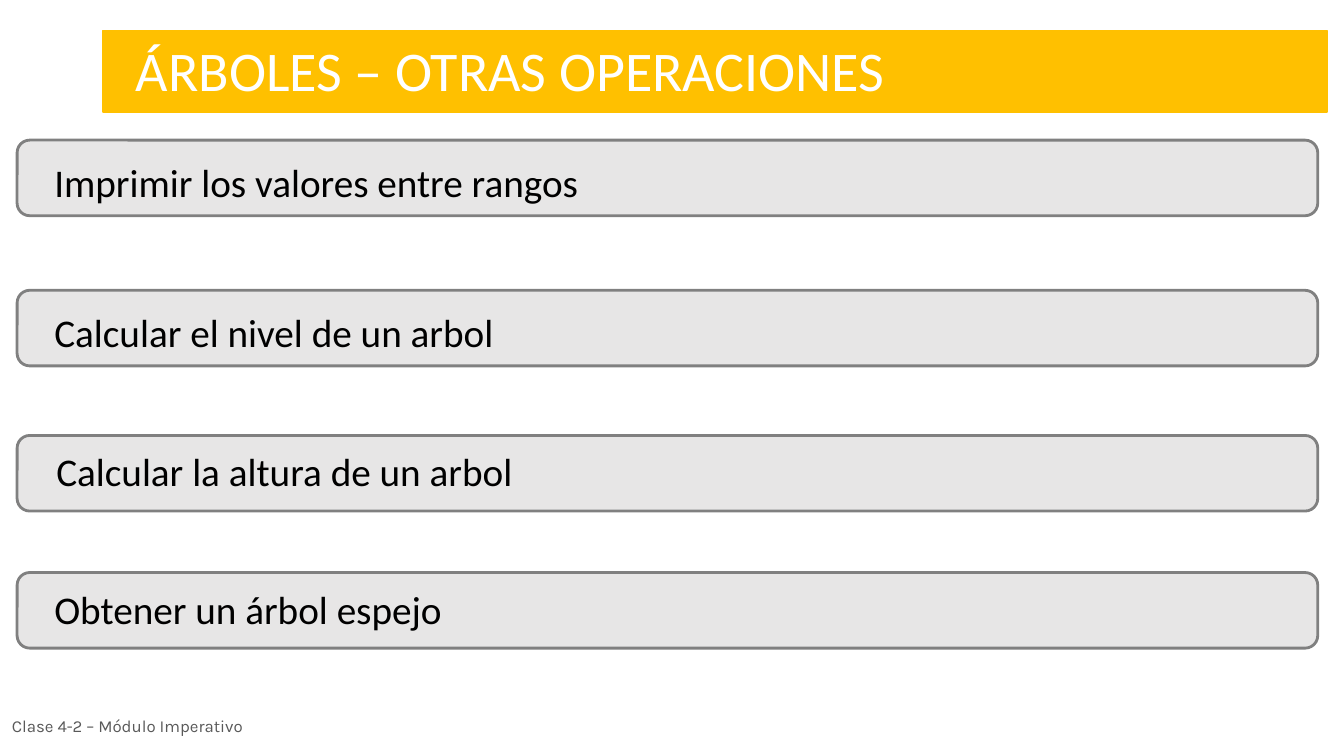
import pptx
import pptx.util
import pptx.dml.color
import pptx.enum.shapes
import pptx.enum.text

Inches = pptx.util.Inches
RGBColor = pptx.dml.color.RGBColor
Shapes = pptx.enum.shapes.MSO_SHAPE
Anchor = pptx.enum.text.MSO_ANCHOR
AutoSize = pptx.enum.text.MSO_AUTO_SIZE

AMBER = RGBColor(0xFF, 0xC0, 0x00)
LIGHT_GRAY = RGBColor(0xE7, 0xE6, 0xE6)
MID_GRAY = RGBColor(0x80, 0x80, 0x80)
DARK_GRAY = RGBColor(0x59, 0x59, 0x59)
WHITE = RGBColor(0xFF, 0xFF, 0xFF)
BLACK = RGBColor(0x00, 0x00, 0x00)

# Bar top, text left, text top, text width, text
OPERATIONS = [
    (1.39, 0.44, 1.52, 5.57, "Imprimir los valores entre rangos"),
    (2.88, 0.44, 3.01, 4.61, "Calcular el nivel de un arbol"),
    (4.32, 0.46, 4.39, 4.78, "Calcular la altura de un arbol"),
    (5.68, 0.44, 5.76, 4.09, "Obtener un árbol espejo"),
]


def add_box(slide, kind, left, top, width, height, fill, line, line_width):
    shape = slide.shapes.add_shape(
        kind, Inches(left), Inches(top), Inches(width), Inches(height))
    shape.shadow.inherit = False
    shape.fill.solid()
    shape.fill.fore_color.rgb = fill
    shape.line.color.rgb = line
    shape.line.width = pptx.util.Pt(line_width)


def add_text(slide, left, top, width, height, text, size, color,
             font="Calibri", wrap=True, anchor=Anchor.TOP,
             auto_size=AutoSize.SHAPE_TO_FIT_TEXT):
    shape = slide.shapes.add_textbox(
        Inches(left), Inches(top), Inches(width), Inches(height))
    frame = shape.text_frame
    frame.word_wrap = wrap
    frame.auto_size = auto_size
    frame.vertical_anchor = anchor
    run = frame.paragraphs[0].add_run()
    run.text = text
    run.font.name = font
    run.font.size = pptx.util.Pt(size)
    run.font.color.rgb = color


def add_title(slide):
    add_box(slide, Shapes.RECTANGLE, 1.02, 0.3, 12.14, 0.81, AMBER, AMBER, 1)
    add_text(slide, 1.25, 0.3, 11.66, 0.77,
             "ÁRBOLES – OTRAS OPERACIONES", 40, WHITE)


def add_operation(slide, bar_top, text_left, text_top, text_width, text):
    add_box(slide, Shapes.ROUNDED_RECTANGLE, 0.17, bar_top, 12.9, 0.75,
            LIGHT_GRAY, MID_GRAY, 2)
    add_text(slide, text_left, text_top, text_width, 0.57, text, 28, BLACK,
             wrap=False)


def main():
    presentation = pptx.Presentation()
    presentation.slide_width = Inches(13.33)
    presentation.slide_height = Inches(7.5)
    slide = presentation.slides.add_slide(presentation.slide_layouts[6])

    add_title(slide)
    for operation in OPERATIONS:
        add_operation(slide, *operation)
    add_text(slide, 0.02, 6.98, 2.97, 0.45, "Clase 4-2 – Módulo Imperativo",
             12, DARK_GRAY, font="Karla", anchor=Anchor.MIDDLE,
             auto_size=AutoSize.NONE)

    presentation.save("out.pptx")


if __name__ == "__main__":
    main()
